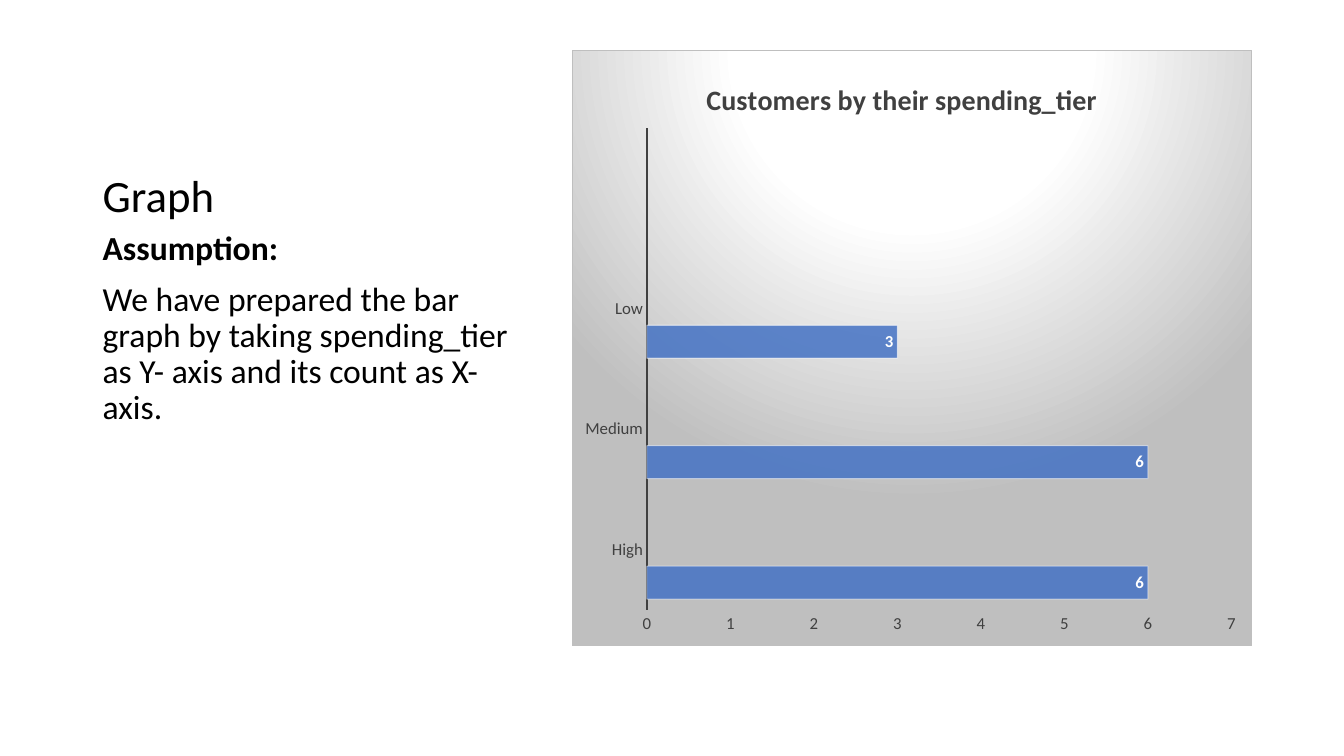
from lxml import etree
from pptx import Presentation
from pptx.chart.data import CategoryChartData
from pptx.dml.color import RGBColor
from pptx.enum.chart import XL_CHART_TYPE as CT, XL_LABEL_POSITION as LP, XL_TICK_MARK as TM
from pptx.enum.text import MSO_ANCHOR as ANCHOR
from pptx.oxml import parse_xml
from pptx.oxml.ns import nsdecls, qn
from pptx.util import Inches, Pt

BLACK = RGBColor(0, 0, 0)
WHITE = RGBColor(0xFF, 0xFF, 0xFF)
DARK = RGBColor(0x40, 0x40, 0x40)
SILVER = RGBColor(0xBF, 0xBF, 0xBF)
BLUE = RGBColor(0x44, 0x72, 0xC4)
ORANGE = RGBColor(0xED, 0x7D, 0x31)
GRAY = RGBColor(0xA5, 0xA5, 0xA5)
FONT = "Calibri"

CATEGORIES = ["High", "Medium", "Low", ""]
SERIES = [
    ("Series 1", [6, 6, 3, None], BLUE),
    ("Series 2", [None] * 4, ORANGE),
    ("Series 3", [None] * 4, GRAY),
]
ASSUMPTION = ("We have prepared the bar graph by taking spending_tier "
              "as Y- axis and its count as X-axis.")


def set_font(font, size, color, bold=False):
    font.name = FONT
    font.size = Pt(size)
    font.bold = bold
    font.color.rgb = color


def add_text(slide, box, lines, size, anchor=ANCHOR.TOP, space=0):
    tf = slide.shapes.add_textbox(*map(Inches, box)).text_frame
    tf.word_wrap = True
    tf.vertical_anchor = anchor
    for i, (text, bold) in enumerate(lines):
        p = tf.add_paragraph() if i else tf.paragraphs[0]
        p.text = text
        p.line_spacing = 0.9
        p.space_before = Pt(space)
        set_font(p.font, size, BLACK, bold)


def add_explanation(slide, left, top, width, height):
    title_height = 1.75
    add_text(slide, (left, top, width, title_height), [("Graph", False)], 32, ANCHOR.BOTTOM)
    add_text(slide, (left, top + title_height, width, height - title_height),
             [("Assumption:", True), (ASSUMPTION, False)], 24, space=10)


def set_alpha(color, percent):
    etree.SubElement(color, qn("a:alpha")).set("val", str(percent * 1000))


def set_layout(parent, index, x, y, size=None, inner=False):
    for old in parent.findall(qn("c:layout")):
        parent.remove(old)
    settings = [("layoutTarget", "inner")] if inner else []
    settings += [("xMode", "edge"), ("yMode", "edge"), ("x", x), ("y", y)]
    if size:
        settings += zip("wh", size)
    tags = "".join(f'<c:{tag} val="{val}"/>' for tag, val in settings)
    parent.insert(index, parse_xml(
        f'<c:layout {nsdecls("c")}><c:manualLayout>{tags}</c:manualLayout></c:layout>'))


def fill_background(space):
    stops = "".join(f'<a:gs pos="{pos * 1000}"><a:srgbClr val="{color}"/></a:gs>'
                    for pos, color in [(0, WHITE), (39, WHITE), (100, SILVER)])
    space.find(qn("c:chart")).addnext(parse_xml(
        f'<c:spPr {nsdecls("c", "a")}><a:gradFill><a:gsLst>{stops}</a:gsLst>'
        '<a:path path="circle"><a:fillToRect l="50000" t="-80000" r="50000" b="180000"/></a:path>'
        f'</a:gradFill><a:ln w="{Pt(0.75)}"><a:solidFill><a:srgbClr val="{SILVER}"/></a:solidFill>'
        '</a:ln></c:spPr>'))


def style_series(ser, color):
    fill, line = ser.format.fill, ser.format.line
    fill.solid()
    fill.fore_color.rgb = color
    line.color.rgb = WHITE
    line.width = Pt(0.75)
    fill_color, line_color = ser.format.element.spPr.iter(qn("a:srgbClr")) \
        if hasattr(ser.format, "element") else ser._element.spPr.iter(qn("a:srgbClr"))
    set_alpha(fill_color, 85)
    set_alpha(line_color, 50)
    labels = ser.data_labels
    labels.show_value = True
    labels.position = LP.INSIDE_END
    set_font(labels.font, 12, WHITE, True)


def style_axes(chart):
    for axis in (chart.category_axis, chart.value_axis):
        axis.has_major_gridlines = False
        axis.major_tick_mark = axis.minor_tick_mark = TM.NONE
        set_font(axis.tick_labels.font, 12, DARK)
    chart.category_axis.format.line.color.rgb = DARK
    chart.category_axis.format.line.width = Pt(1.5)
    values = chart.value_axis
    values.format.line.fill.background()
    values.minimum_scale, values.maximum_scale, values.major_unit = 0, 7, 1


def add_tier_chart(slide, left, top, width, height):
    data = CategoryChartData()
    data.categories = CATEGORIES
    for name, values, _ in SERIES:
        data.add_series(name, values)
    box = map(Inches, (left, top, width, height))
    chart = slide.shapes.add_chart(CT.BAR_CLUSTERED, *box, data).chart
    set_font(chart.font, 10, BLACK)
    chart.has_legend = False
    chart.has_title = True
    p = chart.chart_title.text_frame.paragraphs[0]
    p.text = "Customers by their spending_tier"
    set_font(p.font, 20, DARK, True)
    plot = chart.plots[0]
    plot.gap_width = 65
    plot.overlap = 0
    plot.vary_by_categories = False
    for ser, (_, _, color) in zip(plot.series, SERIES):
        style_series(ser, color)
    style_axes(chart)
    space = chart._chartSpace
    fill_background(space)
    set_layout(next(space.iter(qn("c:title"))), 1, 0.19, 0.04)
    set_layout(next(space.iter(qn("c:plotArea"))), 0, 0.11, 0.13, (0.86, 0.81), inner=True)


def main():
    prs = Presentation()
    prs.slide_width, prs.slide_height = Inches(13.33), Inches(7.5)
    slide = prs.slides.add_slide(prs.slide_layouts[6])
    add_explanation(slide, 0.92, 0.5, 4.3, 5.92)
    add_tier_chart(slide, 5.67, 0.5, 6.75, 5.91)
    prs.save("out.pptx")


if __name__ == "__main__":
    main()
